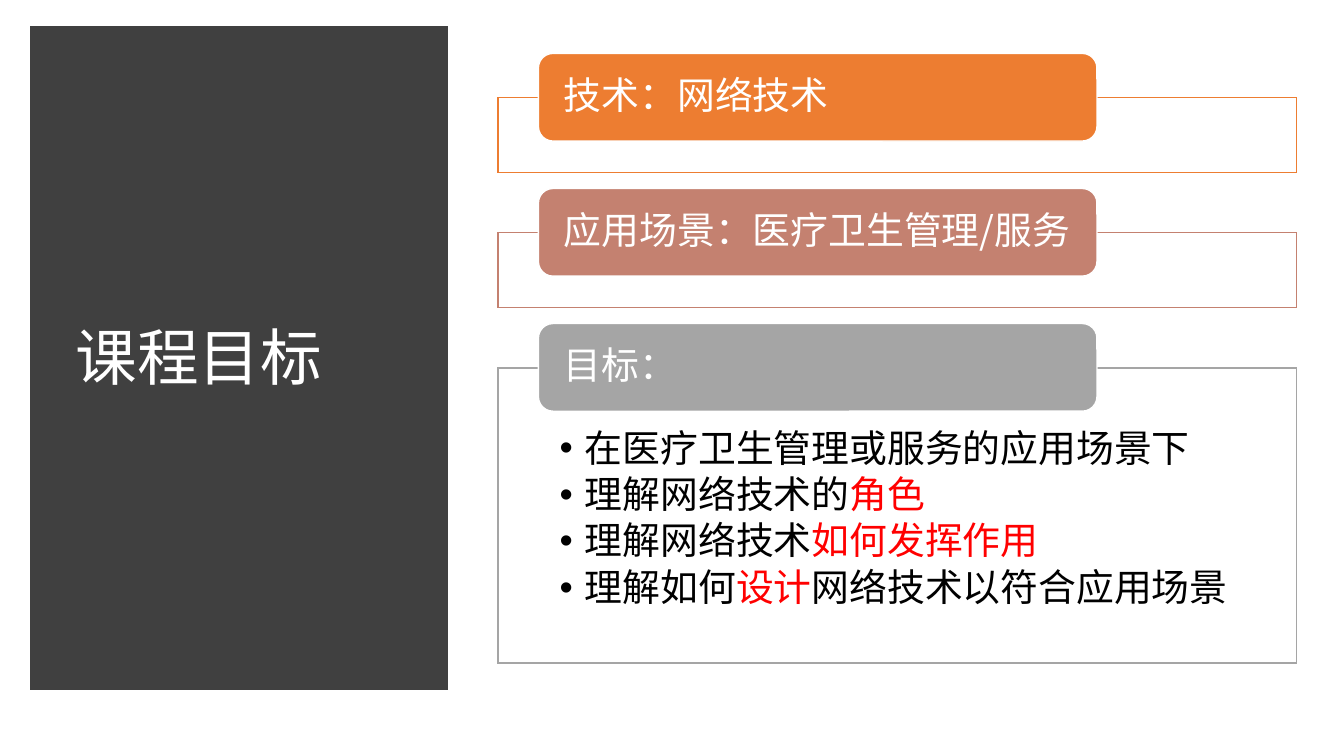
import pptx
import pptx.dml.color
import pptx.enum.shapes
import pptx.enum.text
import pptx.oxml.ns
import pptx.util
from lxml import etree
from pptx.util import Inches

FONT = "Noto Sans CJK SC"
WHITE, BLACK, RED, CHARCOAL = "FFFFFF", "000000", "FF0000", "404040"
RECTANGLE = pptx.enum.shapes.MSO_SHAPE.RECTANGLE
ROUNDED = pptx.enum.shapes.MSO_SHAPE.ROUNDED_RECTANGLE

# Header text, colour and frame height of each section
SECTIONS = [
    ("技术：网络技术", "ED7D31", 0.74),
    ("应用场景：医疗卫生管理/服务", "C48170", 0.74),
    ("目标：", "A5A5A5", 2.93),
]
SECTION_TOP, SECTION_STEP, FRAME_DROP = 0.53, 1.34, 0.44

# Each goal is a list of (text, colour) spans
GOALS = [
    [("在医疗卫生管理或服务的应用场景下", BLACK)],
    [("理解网络技术的", BLACK), ("角色", RED)],
    [("理解网络技术", BLACK), ("如何发挥作用", RED)],
    [("理解如何", BLACK), ("设计", RED), ("网络技术以符合应用场景", BLACK)],
]


def rgb(value):
    return pptx.dml.color.RGBColor.from_string(value)


def add_child(parent, tag, **attributes):
    child = etree.SubElement(parent, pptx.oxml.ns.qn(tag))
    for name, value in attributes.items():
        child.set(name, value)
    return child


def add_block(page, kind, place, fill, line, width):
    box = page.shapes.add_shape(kind, *[Inches(length) for length in place])
    box.shadow.inherit = False
    box.fill.solid()
    box.fill.fore_color.rgb = rgb(fill)
    box.line.color.rgb = rgb(line)
    box.line.width = pptx.util.Pt(width)
    add_child(box.line._get_or_add_ln(), "a:miter", lim="800000")
    return box


def set_frame(box, anchor, insets):
    frame = box.text_frame
    frame.word_wrap = True
    frame.vertical_anchor = anchor
    (frame.margin_left, frame.margin_top,
     frame.margin_right, frame.margin_bottom) = [Inches(inset) for inset in insets]
    return frame


def write_spans(para, spans, size, space_after=0):
    para.alignment = pptx.enum.text.PP_ALIGN.LEFT
    para.line_spacing = 0.9
    para.space_after = pptx.util.Pt(space_after)
    for text, color in spans:
        span = para.add_run()
        span.text = text
        span.font.size = pptx.util.Pt(size)
        span.font.name = FONT
        span.font.color.rgb = rgb(color)
        add_child(span.font._element, "a:ea", typeface=FONT)


def add_bullet(para):
    properties = para._p.get_or_add_pPr()
    properties.set("marL", str(Inches(0.25)))
    properties.set("indent", str(-Inches(0.25)))
    add_child(properties, "a:buFont", typeface="Arial")
    add_child(properties, "a:buChar", char="•")


def add_title_panel(page):
    add_block(page, RECTANGLE, (0.37, 0.33, 4, 6.45), CHARCOAL, CHARCOAL, 10)
    title = page.shapes.add_textbox(Inches(0.65), Inches(0.7), Inches(3.46), Inches(5.75))
    frame = set_frame(title, pptx.enum.text.MSO_ANCHOR.MIDDLE, (0.1, 0.05, 0.1, 0.05))
    write_spans(frame.paragraphs[0], [("课程目标", WHITE)], 44)


def add_section(page, top, header, color, height):
    place = (4.94, top + FRAME_DROP, 7.92, height)
    outline = add_block(page, RECTANGLE, place, WHITE, color, 1)
    tab = add_block(page, ROUNDED, (5.34, top, 5.54, 0.87), color, WHITE, 1)
    frame = set_frame(tab, pptx.enum.text.MSO_ANCHOR.MIDDLE, (0.21, 0, 0.21, 0))
    write_spans(frame.paragraphs[0], [(header, WHITE)], 27)
    return outline


def add_goals(outline):
    frame = set_frame(outline, pptx.enum.text.MSO_ANCHOR.TOP, (0.61, 0.61, 0.61, 0.21))
    for index, spans in enumerate(GOALS):
        para = frame.add_paragraph() if index else frame.paragraphs[0]
        write_spans(para, spans, 27, space_after=4)
        add_bullet(para)


def main():
    deck = pptx.Presentation()
    deck.slide_width, deck.slide_height = Inches(13.33), Inches(7.5)
    page = deck.slides.add_slide(deck.slide_layouts[6])

    # Title on the left
    add_title_panel(page)

    # Sections on the right; the goals go in the last one
    for index, (header, color, height) in enumerate(SECTIONS):
        top = SECTION_TOP + index * SECTION_STEP
        outline = add_section(page, top, header, color, height)
    add_goals(outline)

    deck.save("out.pptx")


if __name__ == "__main__":
    main()
